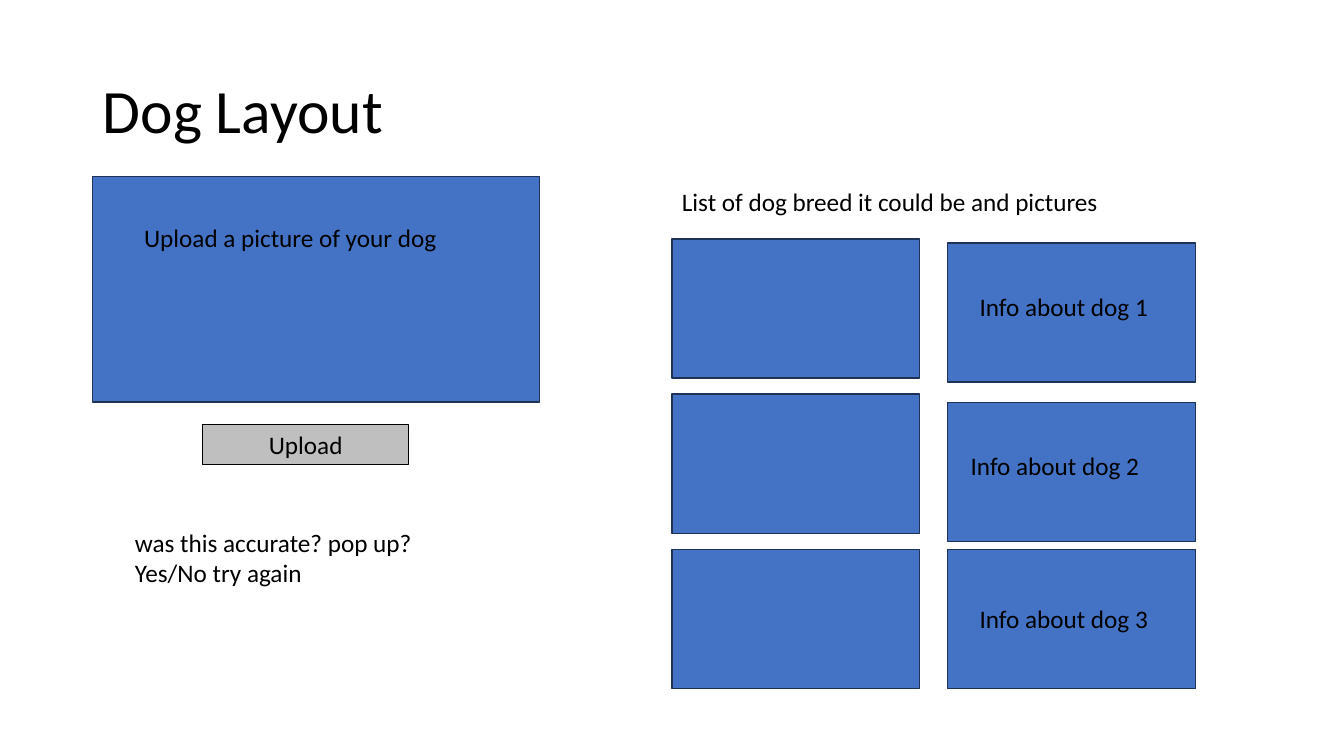
"""Build the Dog Layout wireframe slide."""
import pptx
import pptx.dml.color
import pptx.enum.shapes
import pptx.enum.text
import pptx.util

Pt = pptx.util.Pt
RGBColor = pptx.dml.color.RGBColor
ALIGN = pptx.enum.text.PP_ALIGN
ANCHOR = pptx.enum.text.MSO_ANCHOR

BLUE = RGBColor(0x44, 0x72, 0xC4)
NAVY = RGBColor(0x1E, 0x32, 0x56)
GRAY = RGBColor(0xBF, 0xBF, 0xBF)
BLACK = RGBColor(0, 0, 0)
FONT = "Calibri"

TITLE = ("Dog Layout", (66.3, 28.8, 828, 104.4))
UPLOAD_AREA = (66.3, 126, 319, 161.3)
UPLOAD_BUTTON = ("Upload", (144.9, 303.1, 146.9, 29))
LABELS = [
    ("Upload a picture of your dog", (95.8, 155.5, 290, 29)),
    ("List of dog breed it could be and pictures", (480, 129.6, 425, 29)),
    ("Info about dog 1", (692.6, 204.5, 187, 29)),
    ("Info about dog 2", (686.2, 318.2, 187, 29)),
    ("Info about dog 3", (692.6, 427.7, 187, 29)),
    ("was this accurate? pop up?\nYes/No try again", (89.3, 373, 268.6, 51)),
]
CARD_SIZE = (177, 99.4)
CARD_COLUMNS = [
    (480, (170.6, 281.5, 392.4)),
    (676.8, (173.5, 287.3, 392.4)),
]


def write(box, text, size=18, align=ALIGN.LEFT, anchor=ANCHOR.TOP, spacing=1.0):
    """Write text into a box, one paragraph per line."""
    frame = box.text_frame
    frame.word_wrap = True
    frame.vertical_anchor = anchor
    frame.text = text
    for para in frame.paragraphs:
        para.alignment = align
        para.line_spacing = spacing
        for span in para.runs:
            span.font.name = FONT
            span.font.size = Pt(size)
            span.font.color.rgb = BLACK


def add_text(page, text, place, **style):
    """Add a text box at a place given in points."""
    write(page.shapes.add_textbox(*map(Pt, place)), text, **style)


def add_panel(page, place, fill=BLUE, line=NAVY, width=1):
    """Add a filled, outlined rectangle."""
    panel = page.shapes.add_shape(
        pptx.enum.shapes.MSO_SHAPE.RECTANGLE, *map(Pt, place))
    panel.shadow.inherit = False
    panel.fill.solid()
    panel.fill.fore_color.rgb = fill
    panel.line.color.rgb = line
    panel.line.width = Pt(width)
    return panel


def main():
    """Lay out the slide and save it."""
    deck = pptx.Presentation()
    deck.slide_width, deck.slide_height = Pt(960), Pt(540)
    page = deck.slides.add_slide(deck.slide_layouts[6])

    for left, tops in CARD_COLUMNS:
        for top in tops:
            add_panel(page, (left, top, *CARD_SIZE))
    add_panel(page, UPLOAD_AREA)

    text, place = UPLOAD_BUTTON
    button = add_panel(page, place, fill=GRAY, line=BLACK, width=0.75)
    write(button, text, align=ALIGN.CENTER)

    add_text(page, *TITLE, size=44, anchor=ANCHOR.MIDDLE, spacing=0.9)
    for text, place in LABELS:
        add_text(page, text, place)

    deck.save("out.pptx")


if __name__ == "__main__":
    main()
